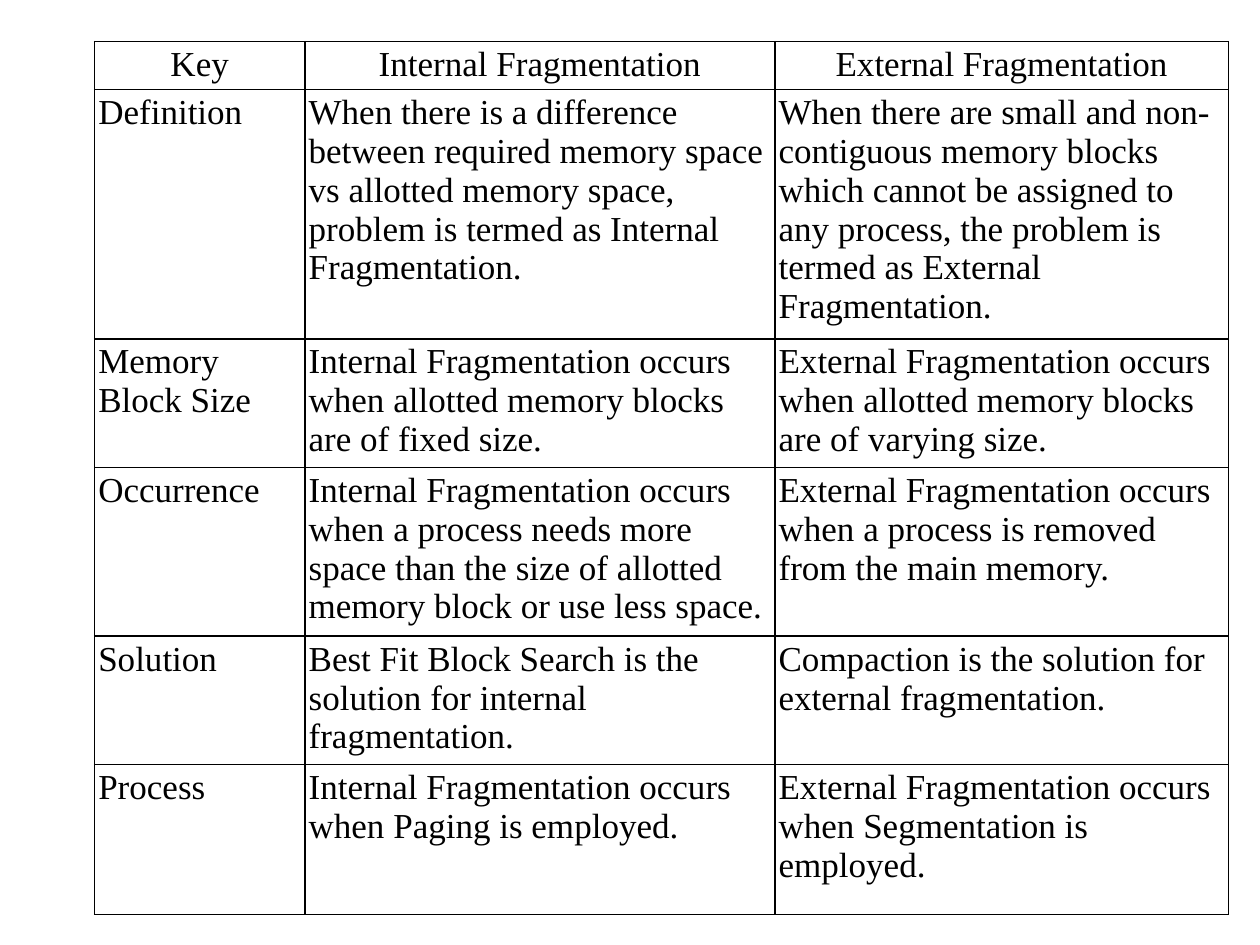
from lxml import etree
from pptx import Presentation
from pptx.dml.color import RGBColor
from pptx.enum.text import MSO_ANCHOR, PP_ALIGN
from pptx.oxml.ns import qn
from pptx.util import Inches, Pt

CENTER, LEFT = PP_ALIGN.CENTER, PP_ALIGN.LEFT
TOP = MSO_ANCHOR.TOP

ROWS = [
    ("Key", "Internal Fragmentation", "External Fragmentation"),
    ("Definition",
     "When there is a difference between required memory space vs allotted memory space, "
     "problem is termed as Internal Fragmentation.",
     "When there are small and non-contiguous memory blocks which cannot be assigned to any "
     "process, the problem is termed as External Fragmentation."),
    ("Memory Block Size",
     "Internal Fragmentation occurs when allotted memory blocks are of fixed size.",
     "External Fragmentation occurs when allotted memory blocks are of varying size."),
    ("Occurrence",
     "Internal Fragmentation occurs when a process needs more space than the size of allotted "
     "memory block or use less space.",
     "External Fragmentation occurs when a process is removed from the main memory."),
    ("Solution",
     "Best Fit Block Search is the solution for internal fragmentation.",
     "Compaction is the solution for external fragmentation."),
    ("Process",
     "Internal Fragmentation occurs when Paging is employed.",
     "External Fragmentation occurs when Segmentation is employed."),
]
COLUMN_WIDTHS = [1.67, 3.73, 3.6]
ROW_HEIGHTS = [0.38, 1.98, 1.02, 1.34, 1.02, 1.19]
TABLE_LEFT, TABLE_TOP = 0.75, 0.33
CELL_MARGIN = 0.03

THEME = {"font": "Times New Roman", "size": 20, "ink": "000000", "border": 1}


def add_borders(cell):
    properties = cell._tc.get_or_add_tcPr()
    for position, side in enumerate(("lnL", "lnR", "lnT", "lnB")):
        line = etree.Element(qn(f"a:{side}"), w=str(Pt(THEME["border"])))
        fill = etree.SubElement(line, qn("a:solidFill"))
        etree.SubElement(fill, qn("a:srgbClr"), val=THEME["ink"])
        properties.insert(position, line)


def fill_cell(cell, text, alignment):
    cell.fill.background()
    cell.margin_left = cell.margin_right = Inches(CELL_MARGIN)
    cell.margin_top = cell.margin_bottom = Inches(CELL_MARGIN)
    cell.vertical_anchor = TOP
    cell.text = text
    paragraph = cell.text_frame.paragraphs[0]
    paragraph.alignment = alignment
    paragraph.font.name = THEME["font"]
    paragraph.font.size = Pt(THEME["size"])
    paragraph.font.color.rgb = RGBColor.from_string(THEME["ink"])
    add_borders(cell)


def add_comparison_table(page):
    table = page.shapes.add_table(
        len(ROWS), len(COLUMN_WIDTHS), Inches(TABLE_LEFT), Inches(TABLE_TOP),
        Inches(sum(COLUMN_WIDTHS)), Inches(sum(ROW_HEIGHTS))).table
    table.first_row = table.horz_banding = False
    for column, width in zip(table.columns, COLUMN_WIDTHS):
        column.width = Inches(width)
    for index, (row, height, texts) in enumerate(zip(table.rows, ROW_HEIGHTS, ROWS)):
        row.height = Inches(height)
        for cell, text in zip(row.cells, texts):
            fill_cell(cell, text, LEFT if index else CENTER)


def main():
    deck = Presentation()
    deck.slide_width, deck.slide_height = Inches(10), Inches(7.5)
    page = deck.slides.add_slide(deck.slide_layouts.get_by_name("Blank"))
    add_comparison_table(page)
    deck.save("out.pptx")


if __name__ == "__main__":
    main()
